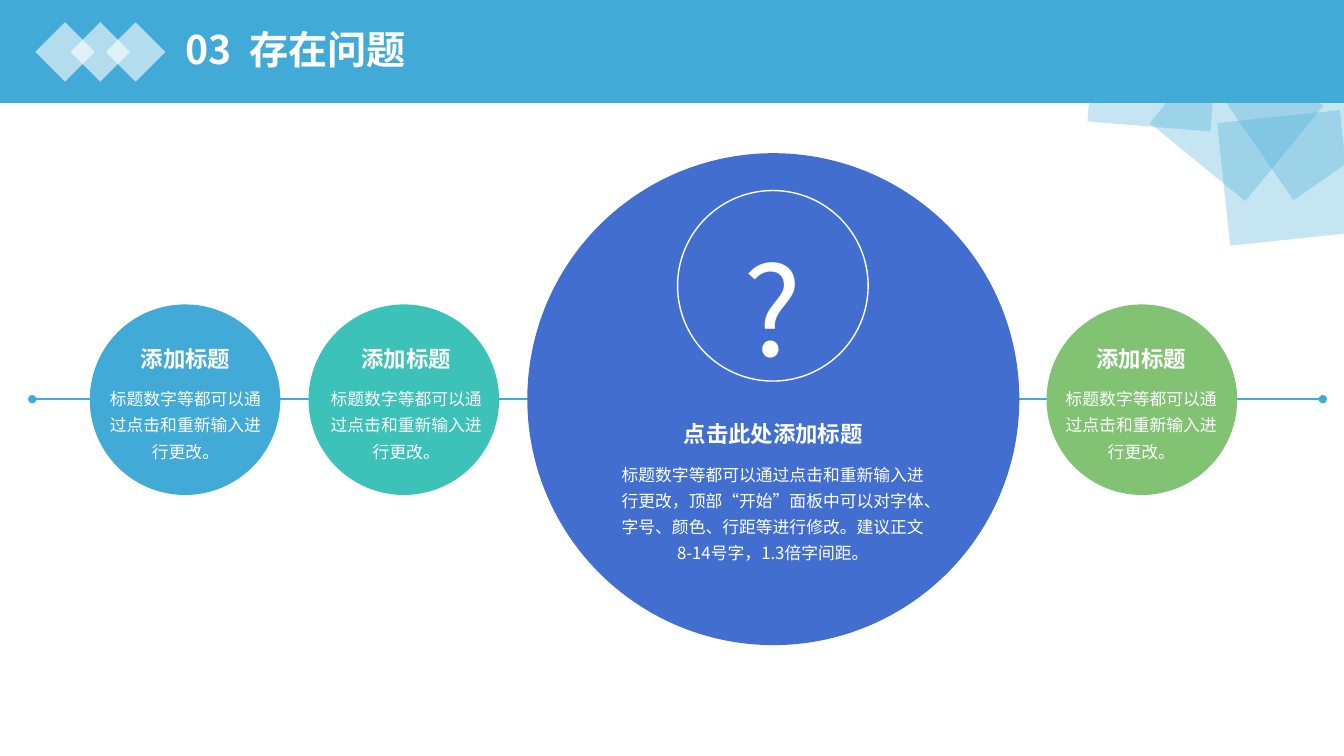
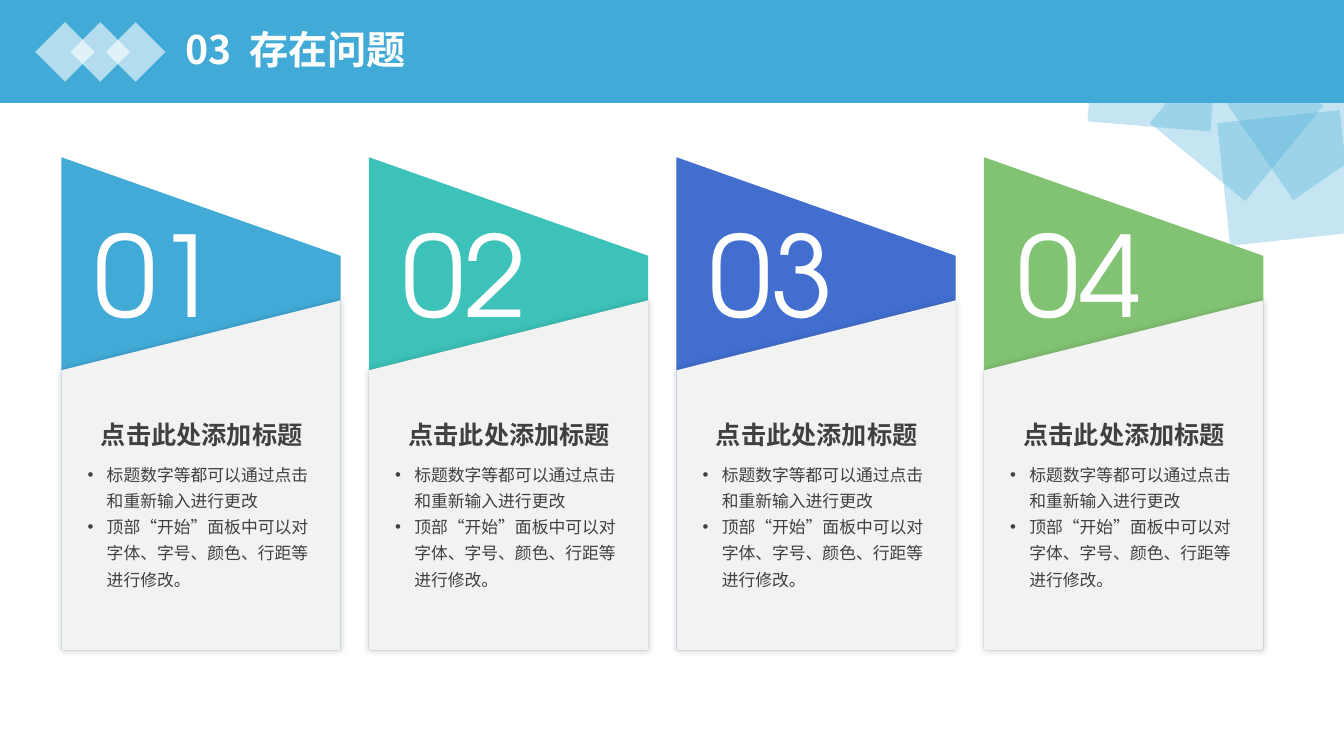
from lxml.etree import SubElement
from pptx import Presentation
from pptx.dml.color import RGBColor
from pptx.enum.shapes import MSO_CONNECTOR, MSO_SHAPE
from pptx.enum.text import MSO_ANCHOR, MSO_AUTO_SIZE, PP_ALIGN
from pptx.oxml.ns import qn
from pptx.util import Inches, Pt

# Content
TITLE = ("03", " ", "存在问题")
HEADING = "点击此处添加标题"
SMALL_HEADING = "添加标题"
SMALL_TEXT = "标题数字等都可以通过点击和重新输入进行更改。"
MAIN_TEXT = ("标题数字等都可以通过点击和重新输入进行更改，顶部“开始”面板中可以对字体、"
             "字号、颜色、行距等进行修改。建议正文8-14号字，1.3倍字间距。")
BULLETS = ["标题数字等都可以通过点击和重新输入进行更改",
           "顶部“开始”面板中可以对字体、字号、颜色、行距等进行修改。"]
# left edge, centre of the text, colour
SMALL_CIRCLES = [(0.89, 1.84, "blue"), (3.06, 4.03, "teal"), (10.38, 11.32, "green")]
CARDS = [("01", "blue"), ("02", "teal"), ("03", "indigo"), ("04", "green")]

# Shared style
COLORS = {"blue": "41AAD7", "teal": "3CC2B8", "indigo": "426FCF", "green": "81C373",
          "white": "FFFFFF", "panel": "F2F2F2", "ink": "404040"}
CJK, LATIN = "Noto Sans CJK SC", "TeX Gyre Adventor"
CORNER_DIAMONDS = [(11.88, 0.9, 38.9), (11.4, 0.27, 354.3),
                   (12.12, 0.27, 10.4), (10.58, -0.22, 319.7)]


def rgb(name):
    return RGBColor.from_string(COLORS[name])


def add_solid(slide, kind, left, top, width, height, color=None, alpha=None):
    sp = slide.shapes.add_shape(kind, Inches(left), Inches(top), Inches(width), Inches(height))
    sp.shadow.inherit = False
    sp.line.fill.background()
    if color is None:
        sp.fill.background()
        return sp
    sp.fill.solid()
    sp.fill.fore_color.rgb = rgb(color)
    if alpha:
        clr = sp.element.spPr.find(qn("a:solidFill"))[0]
        SubElement(clr, qn("a:alpha"), val=str(alpha * 1000))
    return sp


def add_run(p, text, size, color, font=CJK, bold=False):
    r = p.add_run()
    r.text = text
    r.font.size, r.font.bold, r.font.name = Pt(size), bold, font
    r.font.color.rgb = rgb(color)
    rpr = r.font._element
    rpr.set("lang", "zh-CN")
    SubElement(rpr, qn("a:ea"), typeface=CJK)
    return rpr


def add_text(slide, box, lines, size, color, font=CJK, bold=False, wrap=True,
             align=PP_ALIGN.CENTER, spacing=1.3, bullets=False):
    tf = slide.shapes.add_textbox(*map(Inches, box)).text_frame
    tf.word_wrap = wrap
    tf.auto_size = MSO_AUTO_SIZE.SHAPE_TO_FIT_TEXT
    for i, line in enumerate(lines):
        p = tf.add_paragraph() if i else tf.paragraphs[0]
        p.alignment, p.line_spacing = align, spacing
        add_run(p, line, size, color, font, bold)
        if bullets:
            ppr = p._p.get_or_add_pPr()
            ppr.set("marL", str(Inches(0.19)))
            ppr.set("indent", str(-Inches(0.19)))
            SubElement(ppr, qn("a:buFont"), typeface="Arial")
            SubElement(ppr, qn("a:buChar"), char="•")


def decorate_layout(layout, slide):
    """Draw the band and diamonds, then move them behind the layout's placeholders."""
    parts = []
    for left, top, angle in CORNER_DIAMONDS:
        sp = add_solid(slide, MSO_SHAPE.DIAMOND, left, top, 1.73, 1.73, "blue", 30)
        sp.rotation = angle
        parts.append(sp)
    parts.append(add_solid(slide, MSO_SHAPE.RECTANGLE, 0, 0, 13.33, 1.02, "blue"))
    for left in (0.7, 0.35, 1.05):
        parts.append(add_solid(slide, MSO_SHAPE.DIAMOND, left, 0.22, 0.59, 0.59, "white", 60))
    for i, sp in enumerate(parts):
        sp.element.nvSpPr.cNvPr.set("id", str(100 + i))
        layout.shapes.element.insert(2 + i, sp.element)
    title = layout.placeholders[0]
    title.left, title.top, title.width, title.height = map(Inches, (1.74, 0.17, 10.94, 0.68))


def set_title(slide):
    tf = slide.shapes.title.text_frame
    tf.vertical_anchor = MSO_ANCHOR.MIDDLE
    p = tf.paragraphs[0]
    p.alignment, p.line_spacing, p.space_before = PP_ALIGN.LEFT, 0.9, Pt(10)
    for text in TITLE:
        rpr = add_run(p, text, 28, "white", bold=True)
        if text == " ":
            rpr.set("spc", "630")


def build_circles(slide):
    # Axis with round ends
    line = slide.shapes.add_connector(MSO_CONNECTOR.STRAIGHT, Inches(0.32), Inches(3.96),
                                      Inches(13.12), Inches(3.96))
    line.line.color.rgb, line.line.width = rgb("blue"), Pt(1)
    ln = line.line._get_or_add_ln()
    for end in ("a:headEnd", "a:tailEnd"):
        SubElement(ln, qn(end), type="oval")
    SubElement(line.element.spPr, qn("a:effectLst"))

    # Main circle
    add_solid(slide, MSO_SHAPE.OVAL, 5.23, 1.52, 4.88, 4.88, "indigo")
    add_text(slide, (6.02, 4.5, 3.29, 1.15), [MAIN_TEXT], 12, "white")
    add_text(slide, (6.67, 4.04, 2, 0.45), [HEADING], 16, "white", LATIN, True, wrap=False)
    add_text(slide, (7.22, 1.83, 0.89, 2.03), ["?"], 88, "white", wrap=False)
    ring = add_solid(slide, MSO_SHAPE.OVAL, 6.72, 1.89, 1.89, 1.89)
    ring.line.color.rgb, ring.line.width = rgb("white"), Pt(1)

    # Small circles
    for left, center, color in SMALL_CIRCLES:
        add_solid(slide, MSO_SHAPE.OVAL, left, 3.02, 1.89, 1.89, color)
        add_text(slide, (center - 0.87, 3.75, 1.74, 0.89), [SMALL_TEXT], 12, "white")
        add_text(slide, (center - 0.55, 3.29, 1.1, 0.45), [SMALL_HEADING], 16, "white",
                 LATIN, True, wrap=False)


def build_cards(slide):
    for i, (number, color) in enumerate(CARDS):
        left = 0.61 + 3.05 * i
        back = add_solid(slide, MSO_SHAPE.FLOWCHART_MANUAL_INPUT, left, 1.56, 2.77, 4.89, color)
        back.element.spPr.find(qn("a:xfrm")).set("flipH", "1")
        add_text(slide, (left + 0.23, 1.99, 1.45, 1.45), [number], 80, "white", LATIN,
                 wrap=False, align=PP_ALIGN.LEFT, spacing=1.0)
        panel = add_solid(slide, MSO_SHAPE.FLOWCHART_MANUAL_INPUT, left, 2.98, 2.77, 3.47, "panel")
        shadow = SubElement(panel.element.spPr.find(qn("a:effectLst")), qn("a:outerShdw"),
                            blurRad=str(Pt(5)), dist="0", dir="0", algn="ctr", rotWithShape="0")
        black = SubElement(shadow, qn("a:srgbClr"), val="000000")
        SubElement(black, qn("a:alpha"), val="20000")
        add_text(slide, (left + 0.16, 4.5, 2.45, 1.41), BULLETS, 12, "ink",
                 align=PP_ALIGN.LEFT, bullets=True)
        add_text(slide, (left + 0.28, 4.02, 2.22, 0.49), [HEADING], 18, "ink", LATIN, True,
                 wrap=False)


def main():
    prs = Presentation()
    prs.slide_width, prs.slide_height = Inches(13.33), Inches(7.5)
    layout = prs.slide_layouts[5]
    slides = [prs.slides.add_slide(layout) for _ in range(2)]
    decorate_layout(layout, slides[0])
    for s, build in zip(slides, (build_circles, build_cards)):
        set_title(s)
        build(s)
    prs.save("out.pptx")


if __name__ == "__main__":
    main()
